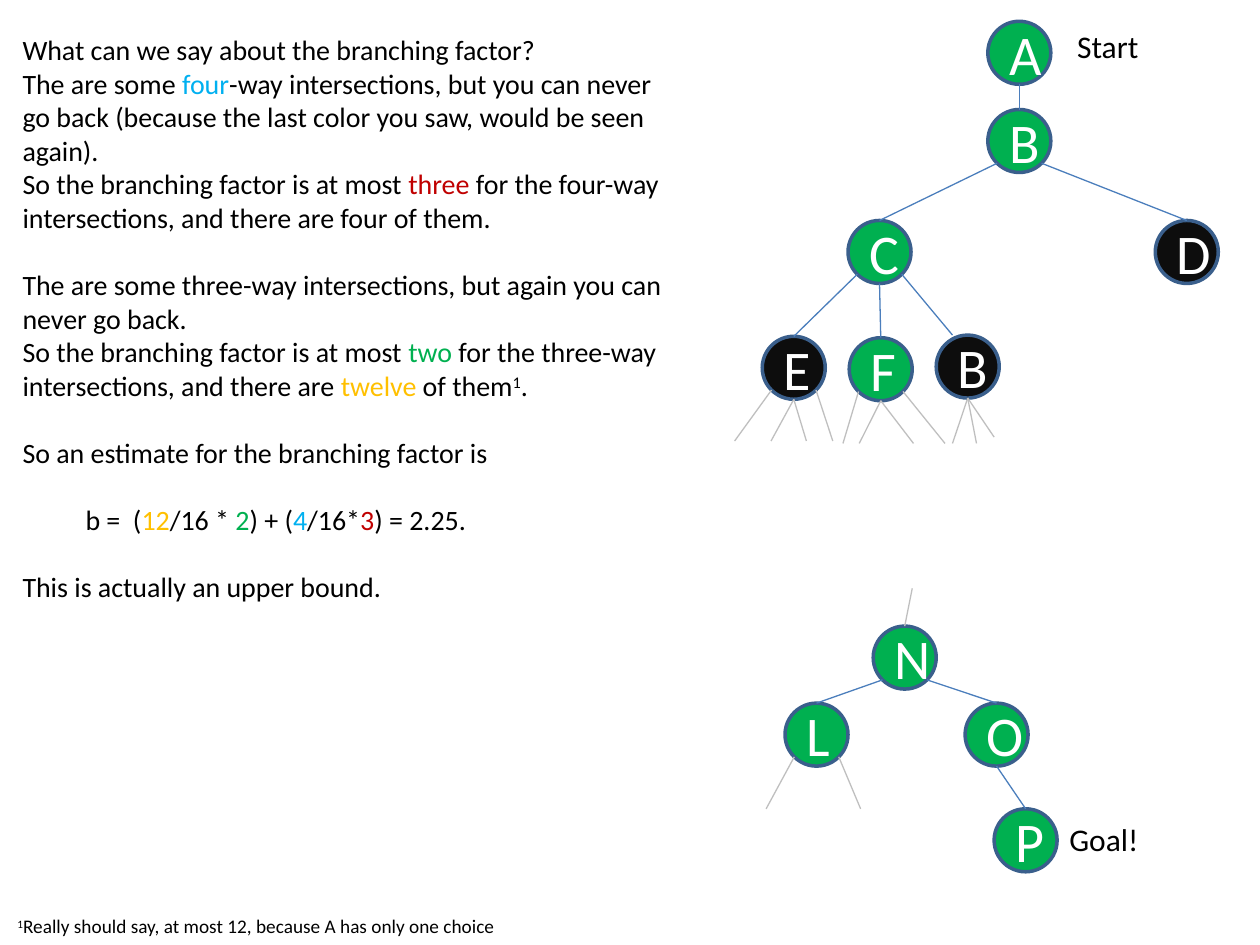
"""Build the slide on the branching factor of a maze search tree."""
import pptx
import pptx.dml.color
import pptx.enum.shapes
import pptx.enum.text
import pptx.oxml
import pptx.oxml.ns
import pptx.util

Pt = pptx.util.Pt
SHAPE = pptx.enum.shapes.MSO_SHAPE
CONNECTOR = pptx.enum.shapes.MSO_CONNECTOR
TEXT = pptx.enum.text

COLORS = {
    "green": "00B050", "black": "0D0D0D", "outline": "3A5F8C", "edge": "4B7EBC",
    "stub": "BFBFBF", "text": "000000", "white": "FFFFFF", "blue": "00B0F0",
    "red": "C00000", "gold": "FFC000",
}


def rgb(name):
    return pptx.dml.color.RGBColor.from_string(COLORS[name])


def add_run(p, text, size, color="text", raised=False):
    r = p.add_run()
    r.text = text
    for key, value in {"name": "Calibri", "size": Pt(size)}.items():
        setattr(r.font, key, value)
    r.font.color.rgb = rgb(color)
    if raised:
        r._r.get_or_add_rPr().set("baseline", "30000")


prs = pptx.Presentation()
prs.slide_width, prs.slide_height = Pt(720), Pt(540)
s = prs.slides.add_slide(prs.slide_layouts[6])

SIZE = 36
nodes = {
    "A": (564.5, 12.2, "green"), "B": (564.5, 62.6, "green"),
    "C": (484.6, 126, "green"), "D": (660.2, 126, "black"),
    "L": (448.6, 401.8, "green"), "N": (499, 357.8, "green"),
    "O": (551.5, 401.8, "green"), "P": (568.1, 462.2, "green"),
    "E": (435.6, 192.2, "black"), "F": (485.3, 193, "green"),
    "B2": (535, 191.5, "black"),
}
circles = {}
for name, (x, y, fill) in nodes.items():
    sp = s.shapes.add_shape(SHAPE.OVAL, Pt(x), Pt(y), Pt(SIZE), Pt(SIZE))
    sp.shadow.inherit = False
    sp.fill.solid()
    sp.fill.fore_color.rgb = rgb(fill)
    sp.line.color.rgb = rgb("outline")
    sp.line.width = Pt(2)
    tf = sp.text_frame
    tf.vertical_anchor = TEXT.MSO_ANCHOR.MIDDLE
    p = tf.paragraphs[0]
    p.alignment = TEXT.PP_ALIGN.CENTER
    add_run(p, name[0], 32, "white")
    circles[name] = sp

sites = {"top": (18, 0), "left": (5.3, 30.7), "bottom": (18, 36), "right": (30.7, 30.7)}
links = [
    ("A", "bottom", "B", "edge"), ("B", "left", "C", "edge"), ("B", "right", "D", "edge"),
    ("C", "left", "E", "edge"), ("C", "bottom", "F", "edge"),
    ("C", "right", (544.3, 191.5), "edge"),
    ("N", "left", "L", "edge"), ("N", "right", "O", "edge"), ("O", "bottom", "P", "edge"),
    ("N", "top", (521.3, 336.2), "stub"),
    ("L", "left", (437.8, 462.2), "stub"), ("L", "right", (491.8, 462.2), "stub"),
    ("E", "left", (419.8, 252), "stub"), ("E", "right", (475.9, 252), "stub"),
    ("E", "bottom", (440.6, 252), "stub"), ("E", "bottom", (460.8, 252), "stub"),
    ("F", "left", (481.7, 253.4), "stub"), ("F", "right", (540, 253.4), "stub"),
    ("F", "bottom", (491, 253.4), "stub"), ("F", "bottom", (522, 253.4), "stub"),
    ("B2", "bottom", (568.1, 249.8), "stub"), ("B2", "bottom", (558, 253.4), "stub"),
    ("B2", "bottom", (544.3, 253.4), "stub"),
]
for parent, site, target, color in links:
    x, y = (a + b for a, b in zip(nodes[parent], sites[site]))
    end = target
    if target in nodes:
        end = [a + b for a, b in zip(nodes[target], sites["top"])]
    sp = s.shapes.add_connector(CONNECTOR.STRAIGHT, Pt(x), Pt(y), Pt(end[0]), Pt(end[1]))
    if site == "top":
        sp.begin_connect(circles[parent], 0)
    if target in nodes:
        sp.end_connect(circles[target], 0)
    sp.line.color.rgb = rgb(color)
    sp.line.width = Pt(0.75)
    sp._element.spPr.append(pptx.oxml.parse_xml(
        "<a:effectLst %s/>" % pptx.oxml.ns.nsdecls("a")))

GAP = 19.2
body = [
    (0, 0, [("What can we say about the branching factor?",)]),
    (0, 0, [("The are some ",), ("four", "blue"),
            ("-way intersections, but you can never go back (because the last color "
             "you saw, would be seen again).",)]),
    (0, 0, [("So the branching factor is at most ",), ("three", "red"),
            (" for the four-way intersections, and there are four of them.",)]),
    (GAP, 0, [("The are some three-way intersections, but again you can never go back.",)]),
    (0, 0, [("So the branching factor is at most ",), ("two", "green"),
            (" for the three-way intersections, and there are ",), ("twelve", "gold"),
            (" of them",), ("1", "text", True), (".",)]),
    (GAP, 0, [("So an estimate for the branching factor is",)]),
    (GAP, 1, [("b =  (",), ("12", "gold"), ("/16 * ",), ("2", "green"), (") + (",),
              ("4", "blue"), ("/16*",), ("3", "red"), (") = 2.25.",)]),
    (GAP, 0, [("This is actually an upper bound.",)]),
]
note = [("1", "text", True),
        ("Really should say, at most 12, because A has only one choice",)]
boxes = [
    (604, 465.1, 54.7, 28.8, 18, False, [(0, 0, [("Goal!",)])]),
    (608.4, 12.2, 49.7, 28.8, 18, False, [(0, 0, [("Start",)])]),
    (5.8, 15.1, 383.8, 375.8, 16, True, body),
    (2.9, 519.1, 290.2, 20.9, 11, False, [(0, 0, note)]),
]
for x, y, w, h, size, wrap, paragraphs in boxes:
    tf = s.shapes.add_textbox(Pt(x), Pt(y), Pt(w), Pt(h)).text_frame
    for key, value in {"word_wrap": wrap,
                       "auto_size": TEXT.MSO_AUTO_SIZE.SHAPE_TO_FIT_TEXT}.items():
        setattr(tf, key, value)
    for i, (gap, level, runs) in enumerate(paragraphs):
        p = tf.add_paragraph() if i else tf.paragraphs[0]
        for key, value in {"space_before": Pt(gap), "level": level}.items():
            setattr(p, key, value)
        for run in runs:
            add_run(p, run[0], size, *run[1:])

prs.save("out.pptx")
